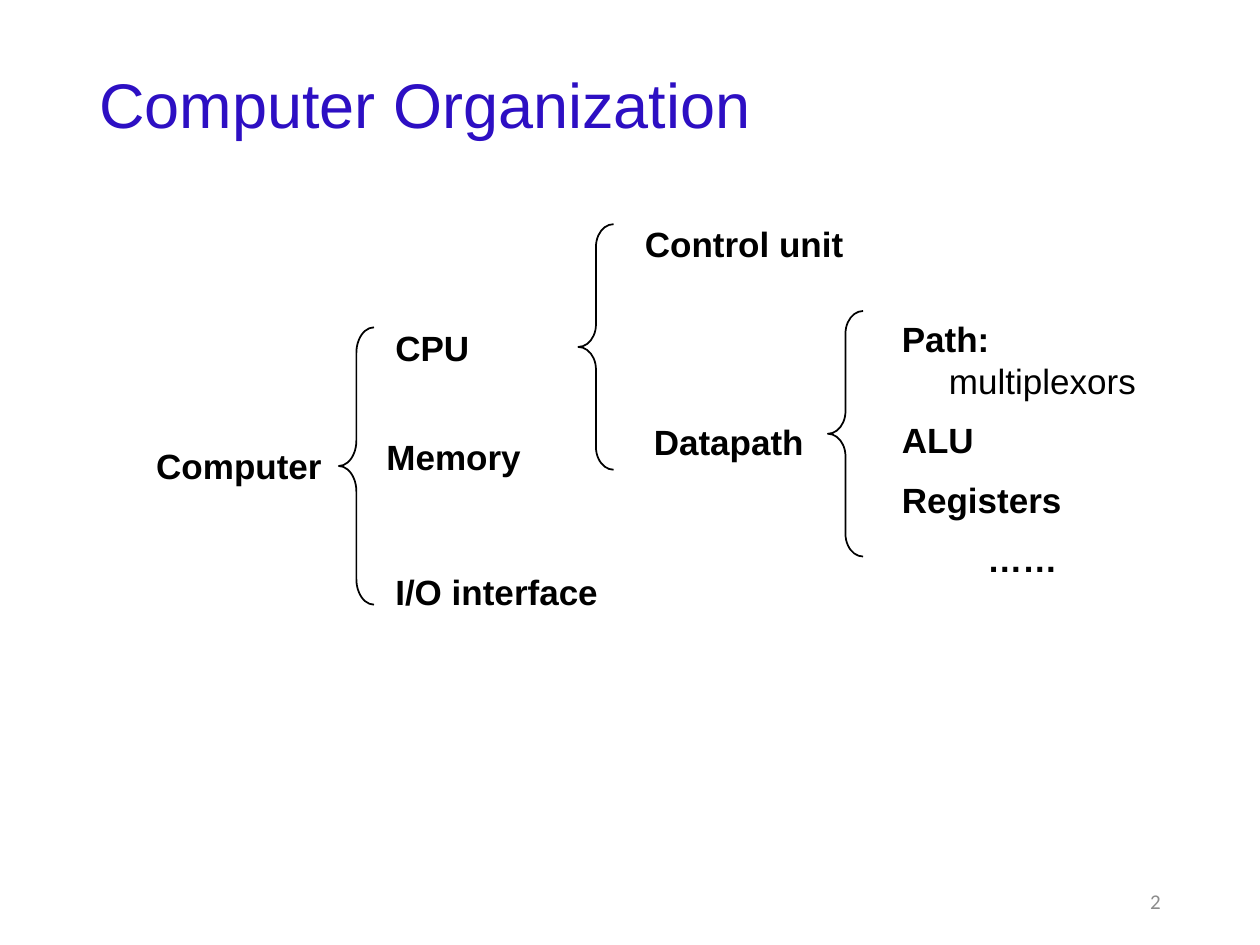
"""Build the Computer Organization slide: a tree of parts joined by braces."""
from dataclasses import dataclass

import pptx
import pptx.dml.color
import pptx.enum.shapes
import pptx.enum.text
import pptx.slide
import pptx.text.text
import pptx.util

Cm = pptx.util.Cm
Pt = pptx.util.Pt
ALIGN = pptx.enum.text.PP_ALIGN
ANCHOR = pptx.enum.text.MSO_ANCHOR
COLORS = {"title": "2D0FC3", "ink": "000000", "number": "8C8C8C"}
HANGING = Cm(0.95)
BRACE_WIDTH = 0.71
BRACE_CURVE = 0.46


@dataclass
class Label:
    left: float
    top: float
    width: float
    height: float
    lines: tuple[str, ...]


@dataclass
class Brace:
    left: float
    top: float
    height: float


LABELS = [
    Label(2.9, 8.84, 4.47, 1.12, ("Computer",)),
    Label(7.72, 6.45, 3.23, 1.12, ("CPU",)),
    Label(7.54, 8.66, 4.11, 1.12, ("Memory",)),
    Label(7.72, 11.38, 5, 2.82, ("I/O interface",)),
    Label(12.75, 4.37, 5.36, 1.12, ("Control unit",)),
    Label(12.93, 8.36, 3.94, 1.96, ("Datapath",)),
    Label(17.93, 6.27, 5.36, 6.68, ("Path: |multiplexors", "ALU", "Registers", "……")),
]
BRACES = [Brace(6.83, 6.6, 5.59), Brace(11.66, 4.52, 4.95), Brace(16.69, 6.27, 4.95)]


def rgb(name: str) -> pptx.dml.color.RGBColor:
    """Return a named colour."""
    return pptx.dml.color.RGBColor.from_string(COLORS[name])


def style(para: pptx.text.text._Paragraph, size: float, color: str, name: str = "Arial") -> None:
    """Set the font of a paragraph."""
    para.font.name = name
    para.font.size = Pt(size)
    para.font.color.rgb = rgb(color)


def add_title(page: pptx.slide.Slide, text: str) -> None:
    """Place and format the title."""
    title = page.shapes.title
    title.left, title.top, title.width, title.height = Cm(1.75), Cm(1.02), Cm(21.9), Cm(2.31)
    title.text_frame.text = text
    title.text_frame.vertical_anchor = ANCHOR.MIDDLE
    para = title.text_frame.paragraphs[0]
    para.alignment = ALIGN.LEFT
    para.line_spacing = 0.9
    style(para, 36, "title")


def add_label(page: pptx.slide.Slide, label: Label) -> None:
    """Draw a label; a bar in a line starts its regular-weight part."""
    box = page.shapes.add_textbox(
        Cm(label.left), Cm(label.top), Cm(label.width), Cm(label.height))
    frame = box.text_frame
    frame.word_wrap = True
    for index, line in enumerate(label.lines):
        para = frame.paragraphs[0] if index == 0 else frame.add_paragraph()
        properties = para._p.get_or_add_pPr()
        properties.set("marL", str(HANGING))
        properties.set("indent", str(-HANGING))
        para.space_before = Pt(10 if index else 0)
        para.alignment = ALIGN.CENTER if line == "……" else ALIGN.LEFT
        style(para, 20, "ink")
        for part, text in enumerate(line.split("|")):
            span = para.add_run()
            span.text = text
            span.font.bold = part == 0


def add_brace(page: pptx.slide.Slide, brace: Brace) -> None:
    """Draw a left brace."""
    shape = page.shapes.add_shape(
        pptx.enum.shapes.MSO_SHAPE.LEFT_BRACE,
        Cm(brace.left), Cm(brace.top), Cm(BRACE_WIDTH), Cm(brace.height))
    shape.shadow.inherit = False
    shape.adjustments[0] = BRACE_CURVE * brace.height / (BRACE_WIDTH * 5) 
    shape.fill.background()
    shape.line.color.rgb = rgb("ink")
    shape.line.width = Pt(1)


def add_page_number(page: pptx.slide.Slide, number: int) -> None:
    """Write the page number at the lower right."""
    box = page.shapes.add_textbox(Cm(17.93), Cm(17.65), Cm(5.72), Cm(1.02))
    frame = box.text_frame
    frame.word_wrap = True
    frame.vertical_anchor = ANCHOR.MIDDLE
    frame.text = str(number)
    frame.paragraphs[0].alignment = ALIGN.RIGHT
    style(frame.paragraphs[0], 12, "number", "Calibri")


def main() -> None:
    """Build and save the deck."""
    deck = pptx.Presentation()
    deck.slide_width, deck.slide_height = Cm(25.4), Cm(19.05)
    page = deck.slides.add_slide(deck.slide_layouts.get_by_name("Title Only"))
    add_title(page, "Computer Organization")
    for label in LABELS:
        add_label(page, label)
    for brace in BRACES:
        add_brace(page, brace)
    add_page_number(page, 2)
    deck.save("out.pptx")


if __name__ == "__main__":
    main()
